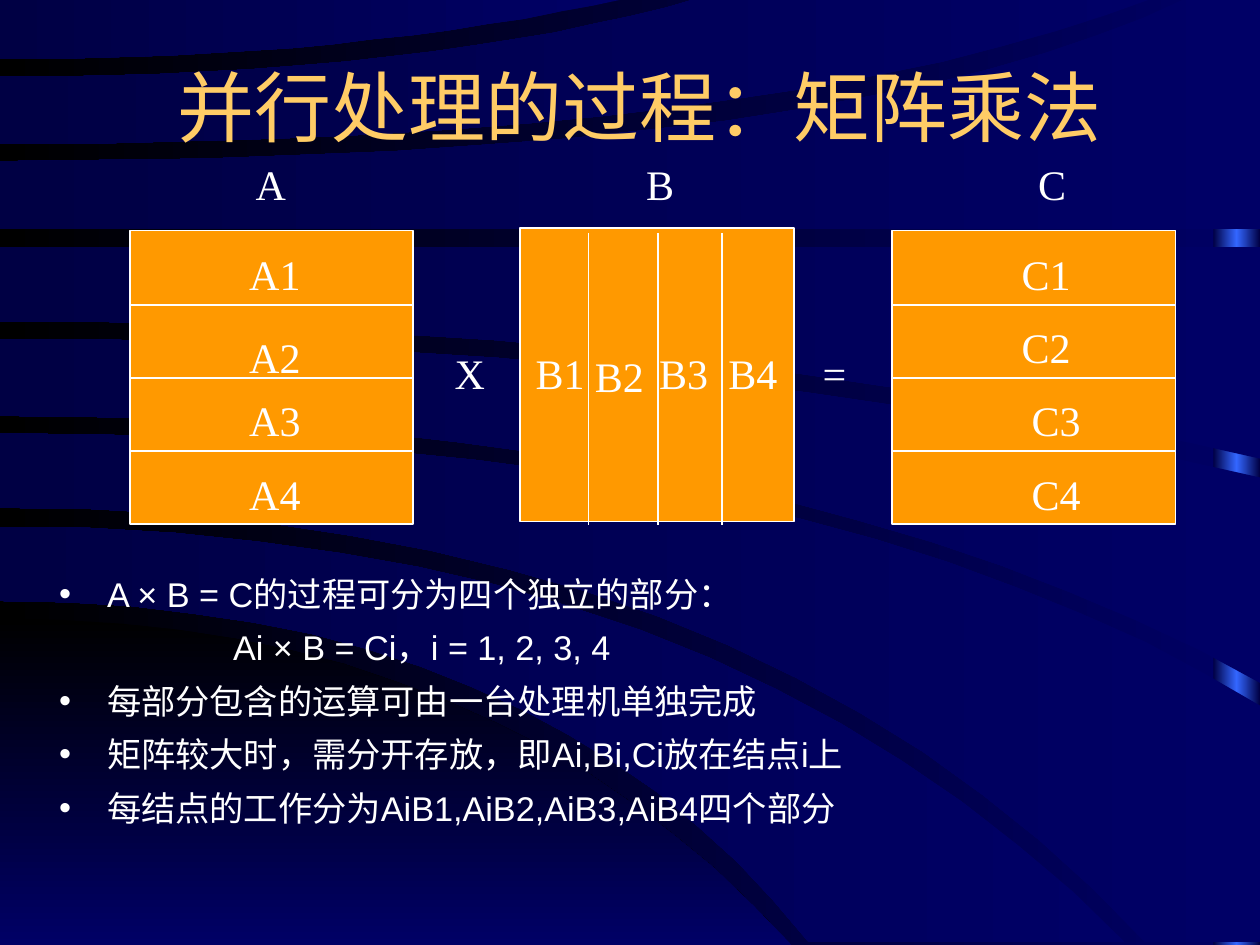
from copy import deepcopy

from pptx import Presentation
from pptx.dml.color import RGBColor
from pptx.enum.shapes import MSO_CONNECTOR, MSO_SHAPE
from pptx.enum.text import MSO_ANCHOR, MSO_AUTO_SIZE, PP_ALIGN
from pptx.oxml.ns import qn
from pptx.util import Pt
from lxml.etree import SubElement

PX = 9144  # 100 px to the inch
NAVY, DEEP, BLACK, BLUE = "000066", "000044", "000000", "3366FF"
WHITE, ORANGE, GOLD = "FFFFFF", "FF9900", "FFCC66"


def color(hex_code):
    return RGBColor.from_string(hex_code)


def paint_gradient(fill, first, last, angle=180):
    """Fill with two colours, the angle running clockwise."""
    fill.gradient()
    fill.gradient_angle = 360 - angle
    for stop, hex_code, position in zip(fill.gradient_stops, (first, last), (0, 1)):
        stop.color.rgb = color(hex_code)
        stop.position = position


deck = Presentation()
deck.slide_width, deck.slide_height = 1000 * PX, 750 * PX
page = deck.slides.add_slide(deck.slide_layouts[1])
shapes = page.shapes
paint_gradient(page.background.fill, NAVY, BLACK)

# Glowing strip at the right edge, seen between the bands
strip = shapes.add_shape(MSO_SHAPE.RECTANGLE, 963 * PX, 0, 37 * PX, 750 * PX)
strip.shadow.inherit = False
strip.line.fill.background()
paint_gradient(strip.fill, DEEP, DEEP)
first_stop = strip._element.spPr.find(".//" + qn("a:gs"))
first_stop.addnext(deepcopy(first_stop))
middle_stop = strip.fill.gradient_stops[1]
middle_stop.position = 0.5
middle_stop.color.rgb = color(BLUE)

# Sweeping bands. Each edge leaves the left side level at start_y, bends at
# bend_x and ends at (end_x, end_y): a quadratic curve sampled in equal steps.
STEPS = 16
bands = [
    ((491, 393, 628, 750), (750, 314, 628, 750)),
    ((418, 570, 893, 748), (477, 428, 642, 748)),
    ((344, 650, 1000, 560), (403, 590, 909, 748)),
    ((269, 540, 1000, 379), (330, 620, 1000, 542)),
    ((196, 500, 1000, 196), (255, 540, 1000, 364)),
    ((128, 680, 943, -2), (182, 500, 1000, 182)),
    ((61, 340, 556, -2), (114, 618, 917, -2)),
    ((-2, 250, 501, -2), (47, 280, 501, -2))]
for number, (upper, lower) in enumerate(bands):
    curves = []
    for start_y, bend_x, end_x, end_y in (upper, lower):
        curves.append([
            (2 * t * (1 - t) * bend_x + t * t * end_x, start_y + t * t * (end_y - start_y))
            for t in (step / STEPS for step in range(STEPS + 1))])
    far_corner = (max(upper[2], lower[2]), lower[3] if upper[2] >= lower[2] else upper[3])
    outline = curves[0] + [far_corner] + curves[1][::-1]
    builder = shapes.build_freeform(*outline[0], scale=PX)
    builder.add_line_segments(outline[1:], close=True)
    band = builder.convert_to_shape()
    band.shadow.inherit = False
    band.line.fill.background()
    if number == 0:
        paint_gradient(band.fill, BLACK, NAVY, 90)
    else:
        paint_gradient(band.fill, NAVY, DEEP)

# Title and list, raised above the bands
title, body = shapes.title, page.placeholders[1]
for holder, (left, top, width, height) in (
        (title, (83, 38, 850, 92)), (body, (37, 450, 913, 217))):
    shapes._spTree.append(holder._element)
    holder.left, holder.top = left * PX, top * PX
    holder.width, holder.height = width * PX, height * PX
    holder.text_frame.auto_size = MSO_AUTO_SIZE.NONE

title.text_frame.text = "并行处理的过程：矩阵乘法"
title.text_frame.vertical_anchor = MSO_ANCHOR.MIDDLE
heading = title.text_frame.paragraphs[0]
heading.alignment = PP_ALIGN.CENTER
heading.font.name, heading.font.size = "Comic Neue", Pt(44)
heading.font.color.rgb = color(GOLD)

formula = "Ai × B = Ci，i = 1, 2, 3, 4"
body.text_frame.text = "\n".join([
    "A × B = C的过程可分为四个独立的部分：",
    formula,
    "每部分包含的运算可由一台处理机单独完成",
    "矩阵较大时，需分开存放，即Ai,Bi,Ci放在结点i上",
    "每结点的工作分为AiB1,AiB2,AiB3,AiB4四个部分"])
for para in body.text_frame.paragraphs:
    para.space_before = Pt(7)
    para.font.name, para.font.size = "Arial", Pt(19.6)
    para.font.color.rgb = color(WHITE)
    is_formula = para.text == formula
    properties = para._p.get_or_add_pPr()
    properties.set("marL", str((138 if is_formula else 38) * PX))
    properties.set("indent", str(0 if is_formula else -38 * PX))
    if is_formula:
        no_bullet = properties.makeelement(qn("a:buNone"))
        properties.find(qn("a:defRPr")).addprevious(no_bullet)

# Matrices A and C are cut into rows, B into columns
for left, top, width in ((103, 183, 225), (708, 183, 225), (413, 181, 217)):
    matrix = shapes.add_shape(
        MSO_SHAPE.RECTANGLE, left * PX, top * PX, width * PX, 233 * PX)
    matrix.shadow.inherit = False
    matrix.fill.solid()
    matrix.fill.fore_color.rgb = color(ORANGE)
    matrix.line.color.rgb = color(WHITE)
    matrix.line.width = Pt(1)

cuts = [(left, y, left + 225, y) for left in (103, 708) for y in (242, 300, 358)]
cuts += [(x, 185, x, 417) for x in (467, 522, 573)]
for ends in cuts:
    cut = shapes.add_connector(MSO_CONNECTOR.STRAIGHT, *(end * PX for end in ends))
    cut.line.color.rgb = color(WHITE)
    cut.line.width = Pt(1)
    SubElement(cut._element.spPr, qn("a:effectLst"))

labels = [("A", 193, 121, 44), ("B", 503, 121, 42), ("C", 814, 121, 42),
          ("X", 351, 271, 47), ("=", 643, 271, 39)]
labels += [(f"A{row}", 188, top, 70) for row, top in enumerate((192, 258, 308, 367), 1)]
labels += [(f"C{row}", 801 if row < 3 else 809, top, 70)
           for row, top in enumerate((192, 250, 308, 367), 1)]
labels += [(f"B{column}", left, 273 if column == 2 else 271, 59)
           for column, left in enumerate((415, 462, 513, 568), 1)]
for text, left, top, width in labels:
    box = shapes.add_textbox(left * PX, top * PX, width * PX, 50 * PX)
    box.text_frame.word_wrap = width > 60  # narrow boxes fit their text exactly
    para = box.text_frame.paragraphs[0]
    para.text = text
    para.alignment = PP_ALIGN.CENTER if width == 59 else PP_ALIGN.LEFT
    para.font.name, para.font.size = "Times New Roman", Pt(24)
    para.font.color.rgb = color(WHITE)

deck.save("out.pptx")
